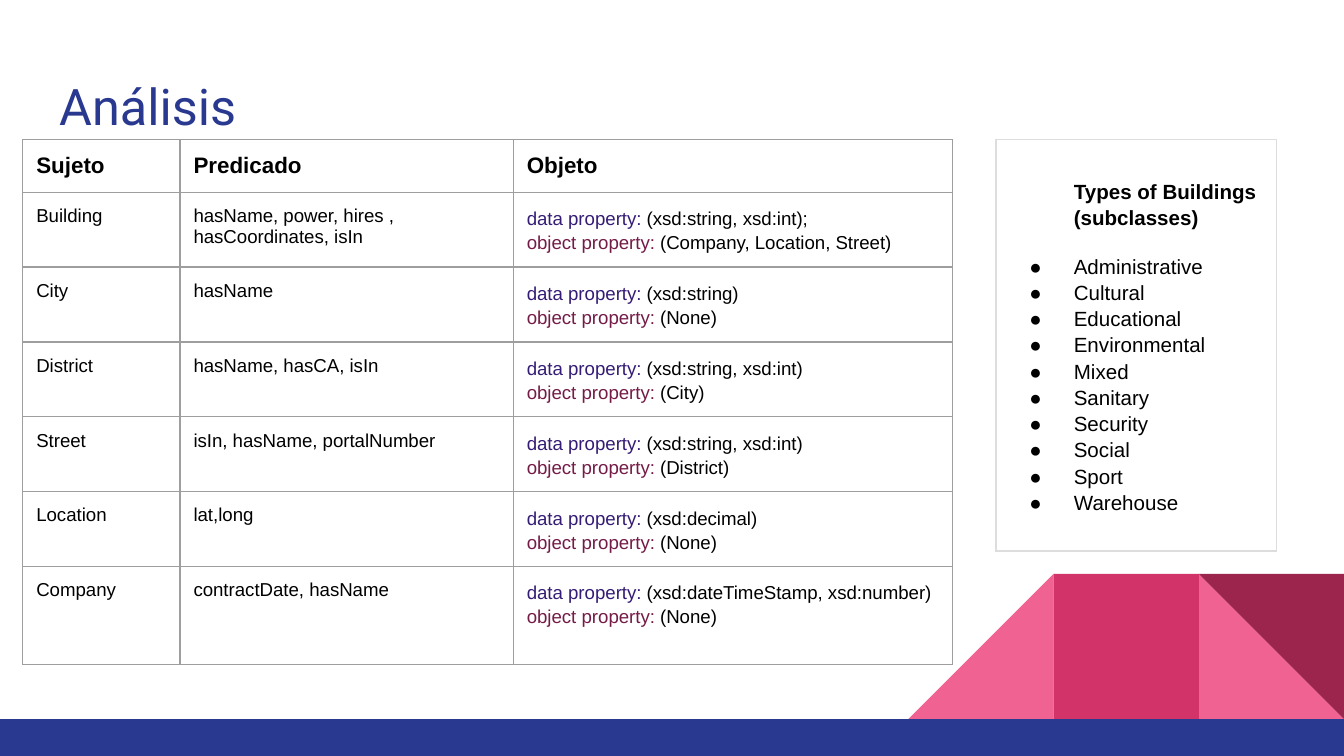
import pptx
import pptx.util
import pptx.dml.color
import pptx.enum.shapes
import pptx.enum.text
import pptx.oxml.ns
import lxml.etree
from dataclasses import dataclass

Inches = pptx.util.Inches
Pt = pptx.util.Pt
Shape = pptx.enum.shapes.MSO_SHAPE


@dataclass(frozen=True)
class Theme:
    title_font: str = "Roboto"
    body_font: str = "Arial"
    title_size: float = 27
    header_size: float = 12
    cell_size: float = 10
    list_size: float = 11
    line_spacing: float = 1.15
    blue: str = "2A3990"
    pink: str = "F06292"
    rose: str = "D23369"
    wine: str = "9C254D"
    black: str = "000000"
    data: str = "351C75"
    object: str = "741B47"
    grid: str = "9E9E9E"
    frame: str = "DDDDDD"


THEME = Theme()
TITLE = "Análisis"
HEADERS = ["Sujeto", "Predicado", "Objeto"]
TRIPLES = [
    ("Building", "hasName, power, hires , hasCoordinates, isIn",
     "(xsd:string, xsd:int);", "(Company, Location, Street)"),
    ("City", "hasName", "(xsd:string)", "(None)"),
    ("District", "hasName, hasCA, isIn", "(xsd:string, xsd:int)", "(City)"),
    ("Street", "isIn, hasName, portalNumber", "(xsd:string, xsd:int)", "(District)"),
    ("Location", "lat,long", "(xsd:decimal)", "(None)"),
    ("Company", "contractDate, hasName", "(xsd:dateTimeStamp, xsd:number)", "(None)"),
]
LIST_TITLE = "Types of Buildings (subclasses)"
BUILDING_TYPES = ["Administrative", "Cultural", "Educational", "Environmental", "Mixed",
                  "Sanitary", "Security", "Social", "Sport", "Warehouse"]

PAGE_WIDTH = 10
PAGE_HEIGHT = PAGE_WIDTH * 9 / 16
FLOOR, TILE = 5.35, 1.08
TABLE_TOP = 1.04
COLUMN_WIDTHS = [1.17, 2.48, 3.27]
ROW_HEIGHTS = [0.39] + [0.54] * 5 + [0.73]
TILES = [
    (1, Shape.RIGHT_TRIANGLE, THEME.pink, False, 0),
    (3, Shape.RIGHT_TRIANGLE, THEME.pink, True, 0),
    (2, Shape.RECTANGLE, THEME.rose, False, 0),
    (1, Shape.RIGHT_TRIANGLE, THEME.wine, False, 180),
]


def color(value):
    return pptx.dml.color.RGBColor.from_string(value)


def add_span(para, text, size, ink=THEME.black, bold=False, font=THEME.body_font):
    span = para.add_run()
    span.text = text
    span.font.name = font
    span.font.size = Pt(size)
    span.font.bold = bold
    span.font.color.rgb = color(ink)


def add_block(page, kind, left, top, width, height, fill):
    block = page.shapes.add_shape(kind, Inches(left), Inches(top), Inches(width), Inches(height))
    block.shadow.inherit = False
    block.fill.solid()
    block.fill.fore_color.rgb = color(fill)
    block.line.fill.background()
    return block


def add_grid(page, left, widths, heights, margin, border, border_width):
    frame = page.shapes.add_table(len(heights), len(widths), Inches(left), Inches(TABLE_TOP),
                                  Inches(sum(widths)), Inches(sum(heights)))
    table = frame.table
    table.first_row = table.horz_banding = False
    for column, width in zip(table.columns, widths):
        column.width = Inches(width)
    for row, height in zip(table.rows, heights):
        row.height = Inches(height)
    for cell in table.iter_cells():
        cell.margin_left = cell.margin_right = Inches(margin)
        cell.margin_top = cell.margin_bottom = Inches(margin)
        cell.vertical_anchor = pptx.enum.text.MSO_ANCHOR.TOP
        add_borders(cell, border, border_width)
        cell.fill.background()
    return table


def add_borders(cell, ink, width):
    qn = pptx.oxml.ns.qn
    properties = cell._tc.get_or_add_tcPr()
    for side in ("lnL", "lnR", "lnT", "lnB"):
        line = lxml.etree.SubElement(properties, qn("a:" + side), w=str(Pt(width)))
        fill = lxml.etree.SubElement(line, qn("a:solidFill"))
        lxml.etree.SubElement(fill, qn("a:srgbClr"), val=ink)


def indent(para, left, first, bullet=None):
    qn = pptx.oxml.ns.qn
    properties = para._p.get_or_add_pPr()
    properties.set("marL", str(Inches(left)))
    properties.set("indent", str(Inches(first)))
    if bullet:
        ink = lxml.etree.SubElement(properties, qn("a:buClr"))
        lxml.etree.SubElement(ink, qn("a:srgbClr"), val=THEME.black)
        lxml.etree.SubElement(properties, qn("a:buSzPts"), val=str(THEME.list_size * 100))
        lxml.etree.SubElement(properties, qn("a:buFont"), typeface=THEME.body_font)
        lxml.etree.SubElement(properties, qn("a:buChar"), char=bullet)


def add_decoration(page):
    for steps, kind, fill, flipped, rotation in TILES:
        tile = add_block(page, kind, PAGE_WIDTH - steps * TILE, FLOOR - TILE, TILE, TILE, fill)
        tile.rotation = rotation
        if flipped:
            tile._element.spPr.xfrm.set("flipH", "1")
    add_block(page, Shape.RECTANGLE, 0, FLOOR, PAGE_WIDTH, PAGE_HEIGHT - FLOOR, THEME.blue)


def add_title(page):
    title = page.shapes.title
    title.left, title.top = Inches(0.34), Inches(0.45)
    title.width, title.height = Inches(9.32), Inches(0.66)
    box = title.text_frame
    box.margin_left = box.margin_right = box.margin_top = box.margin_bottom = Inches(0.1)
    box.vertical_anchor = pptx.enum.text.MSO_ANCHOR.BOTTOM
    para = box.paragraphs[0]
    para.alignment = pptx.enum.text.PP_ALIGN.LEFT
    add_span(para, TITLE, THEME.title_size, THEME.blue, font=THEME.title_font)


def add_triples(page):
    table = add_grid(page, 0.17, COLUMN_WIDTHS, ROW_HEIGHTS, 0.1, THEME.grid, 0.75)
    for column, header in enumerate(HEADERS):
        para = table.cell(0, column).text_frame.paragraphs[0]
        add_span(para, header, THEME.header_size, bold=True)
    for row, (subject, predicate, data, target) in enumerate(TRIPLES, 1):
        for column, text in enumerate((subject, predicate)):
            add_span(table.cell(row, column).text_frame.paragraphs[0], text, THEME.cell_size)
        box = table.cell(row, 2).text_frame
        properties = [(box.paragraphs[0], "data property:", THEME.data, data),
                      (box.add_paragraph(), "object property:", THEME.object, target)]
        for para, label, ink, value in properties:
            para.line_spacing = THEME.line_spacing
            add_span(para, label, THEME.cell_size, ink)
            add_span(para, " " + value, THEME.cell_size)


def add_building_types(page):
    cell = add_grid(page, 7.41, [2.09], [3.06], 0.08, THEME.frame, 0.83).cell(0, 0)
    cell.margin_top = Inches(0.28)
    heading = cell.text_frame.paragraphs[0]
    heading.line_spacing = THEME.line_spacing
    indent(heading, 0.5, 0)
    add_span(heading, LIST_TITLE, THEME.list_size, bold=True)
    for index, name in enumerate(BUILDING_TYPES):
        para = cell.text_frame.add_paragraph()
        para.line_spacing = THEME.line_spacing
        para.space_before = Pt(0 if index else 12)
        indent(para, 0.5, -0.33, "●")
        add_span(para, name, THEME.list_size)


def main():
    deck = pptx.Presentation()
    deck.slide_width, deck.slide_height = Inches(PAGE_WIDTH), Inches(PAGE_HEIGHT)
    page = deck.slides.add_slide(deck.slide_layouts.get_by_name("Title Only"))
    add_decoration(page)
    add_title(page)
    add_triples(page)
    add_building_types(page)
    deck.save("out.pptx")


if __name__ == "__main__":
    main()
